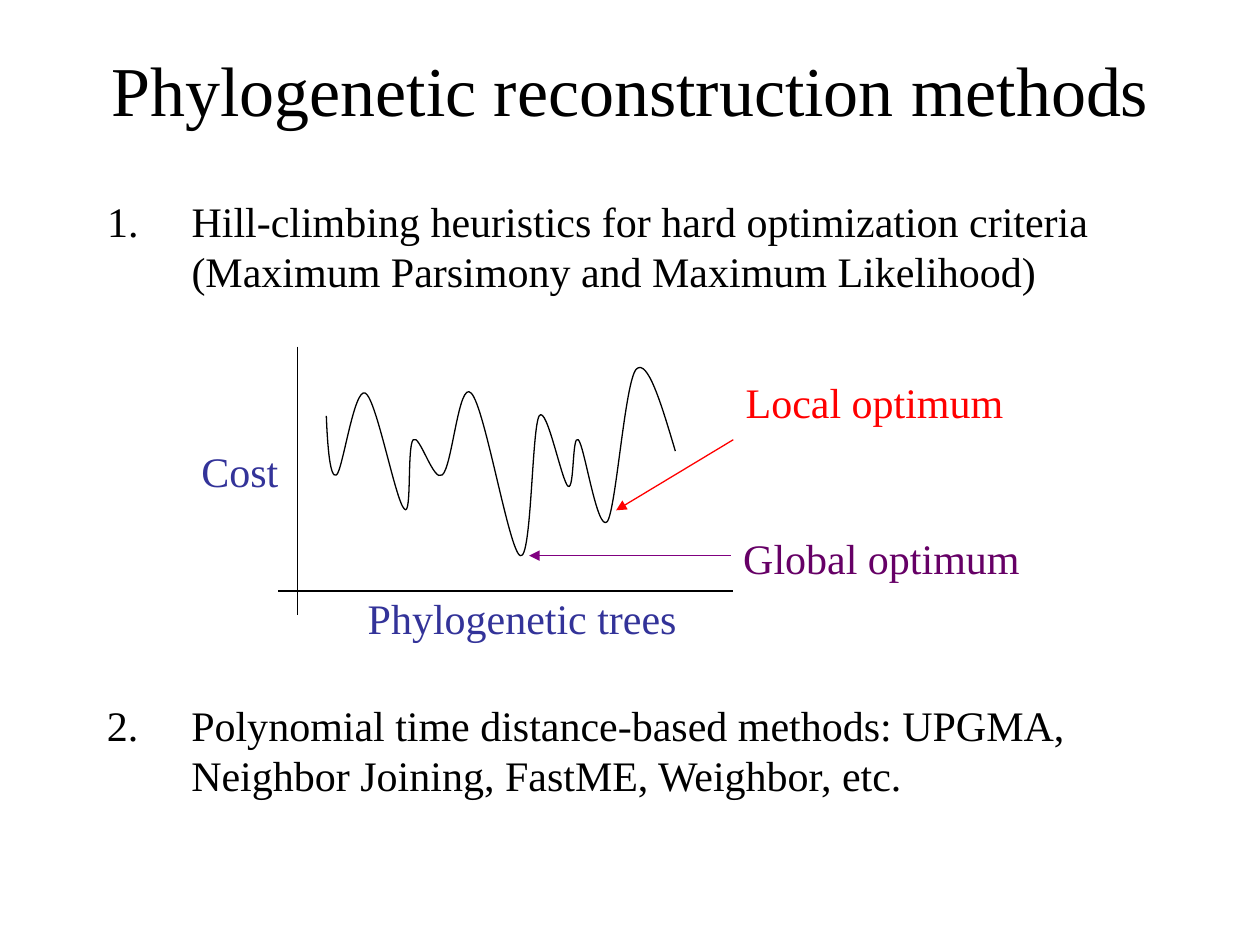
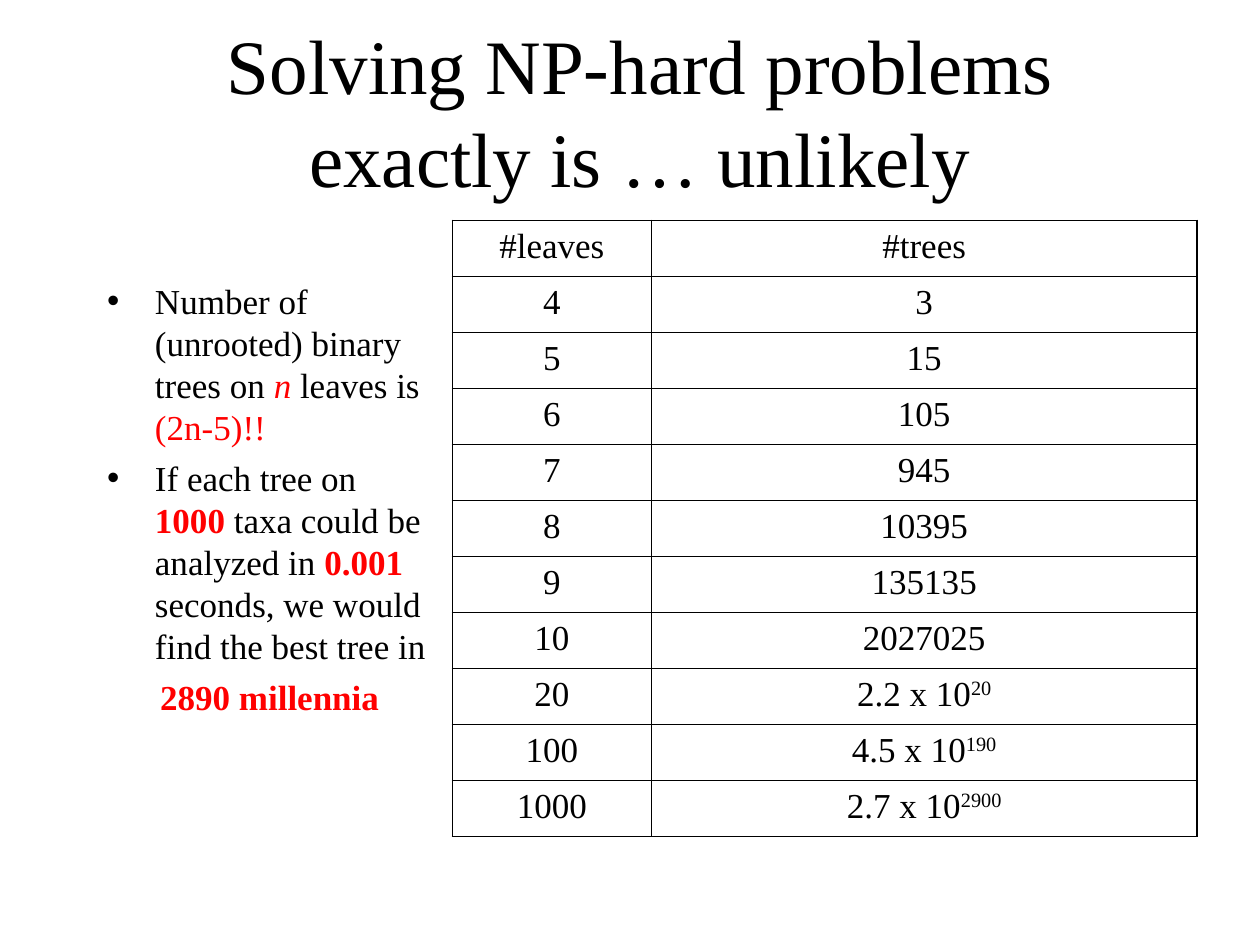
from lxml import etree
from pptx import Presentation
from pptx.dml.color import RGBColor
from pptx.enum.shapes import MSO_CONNECTOR
from pptx.enum.text import MSO_ANCHOR, MSO_AUTO_SIZE, PP_ALIGN
from pptx.oxml.ns import qn
from pptx.util import Inches, Pt

FONT = "Times New Roman"
COLORS = {
    "black": "000000",
    "axis label": "333399",
    "global": "660066",
    "global arrow": "800080",
    "red": "FF0000",
}


def format_paragraph(paragraph, size, color="black", indent=0, hanging=0, bullet=None, number=None):
    """Set indents, then a bullet or list number, then the font."""
    properties = paragraph._p.get_or_add_pPr()
    properties.set("marL", str(Inches(indent)))
    properties.set("indent", str(-Inches(hanging)))
    if number:
        etree.SubElement(properties, qn("a:buFont"), typeface=FONT)
        etree.SubElement(properties, qn("a:buAutoNum"), type="arabicPeriod", startAt=str(number))
    elif bullet:
        etree.SubElement(properties, qn("a:buChar"), char=bullet)
    else:
        etree.SubElement(properties, qn("a:buNone"))
    paragraph.space_before = Pt(0)
    paragraph.font.name = FONT
    paragraph.font.size = Pt(size)
    paragraph.font.color.rgb = RGBColor.from_string(COLORS[color])


def draw_line(shapes, start, end, color="black", arrow=False):
    line = shapes.add_connector(MSO_CONNECTOR.STRAIGHT, *map(Inches, start + end))
    line.line.color.rgb = RGBColor.from_string(COLORS[color])
    line.line.width = Pt(0.75)
    if arrow:
        etree.SubElement(line.line._get_or_add_ln(), qn("a:tailEnd"), type="triangle")
    etree.SubElement(line._element.spPr, qn("a:effectLst"))


deck = Presentation()
deck.slide_width, deck.slide_height = Inches(10), Inches(7.5)

# Titles and body frames
pages = []
for title_text, title_size, title_at, body_at in [
    ("Phylogenetic reconstruction methods", 40, (0.75, 0.08, 8.5, 1.25), (0.75, 1.5, 8.5, 2)),
    ("Solving NP-hard problems exactly is … unlikely", 44, (0.83, 0.25, 8.5, 1.25),
     (0.75, 2.17, 2.76, 4.5)),
]:
    page = deck.slides.add_slide(deck.slide_layouts[1])
    for holder, place in zip(page.placeholders, (title_at, body_at)):
        holder.left, holder.top, holder.width, holder.height = map(Inches, place)
        holder.text_frame.auto_size = MSO_AUTO_SIZE.NONE
        holder.text_frame.word_wrap = True
    title = page.shapes.title.text_frame
    title.text = title_text
    title.vertical_anchor = MSO_ANCHOR.MIDDLE
    title.paragraphs[0].alignment = PP_ALIGN.CENTER
    format_paragraph(title.paragraphs[0], title_size)
    pages.append(page)
methods_page, counts_page = pages

# Slide 1: numbered methods
second_method = methods_page.shapes.add_textbox(Inches(0.75), Inches(5.5), Inches(8.5), Inches(0.75))
second_method.text_frame.word_wrap = True
methods = [
    (methods_page.placeholders[1], "Hill-climbing heuristics for hard optimization criteria "
     "(Maximum Parsimony and Maximum Likelihood)"),
    (second_method, "Polynomial time distance-based methods: UPGMA, "
     "Neighbor Joining, FastME, Weighbor, etc."),
]
for number, (box, text) in enumerate(methods, start=1):
    box.text_frame.text = text
    format_paragraph(box.text_frame.paragraphs[0], 24, indent=0.67, hanging=0.67, number=number)

# Slide 1: cost landscape
landscape = methods_page.shapes.add_group_shape().shapes
draw_line(landscape, (2.36, 2.75), (2.36, 4.88))
draw_line(landscape, (2.21, 4.69), (5.82, 4.69))

# Each step holds two control points and the end point of a cubic curve
curve_start = (2.59, 3.3)
curve_steps = [
    ((2.6, 3.55), (2.62, 3.8), (2.67, 3.77)),
    ((2.72, 3.74), (2.81, 3.07), (2.9, 3.12)),
    ((2.99, 3.17), (3.14, 3.98), (3.21, 4.04)),
    ((3.27, 4.11), (3.23, 3.54), (3.28, 3.49)),
    ((3.33, 3.44), (3.44, 3.83), (3.51, 3.77)),
    ((3.59, 3.71), (3.64, 3.01), (3.74, 3.12)),
    ((3.85, 3.23), (4.04, 4.38), (4.13, 4.41)),
    ((4.22, 4.45), (4.22, 3.4), (4.28, 3.3)),
    ((4.34, 3.21), (4.46, 3.83), (4.51, 3.86)),
    ((4.56, 3.89), (4.54, 3.44), (4.59, 3.49)),
    ((4.64, 3.54), (4.74, 4.23), (4.82, 4.14)),
    ((4.89, 4.04), (4.96, 3.03), (5.05, 2.93)),
    ((5.14, 2.84), (5.25, 3.21), (5.36, 3.58)),
]
builder = landscape.build_freeform(*map(Inches, curve_start))
builder.add_line_segments(
    [tuple(map(Inches, point)) for step in curve_steps for point in step], close=False)
cost_curve = builder.convert_to_shape()

# Gather every three straight segments into one cubic segment
segments = list(cost_curve._element.iter(qn("a:lnTo")))
outline = segments[0].getparent()
for first in range(0, len(segments), 3):
    cubic = etree.SubElement(outline, qn("a:cubicBezTo"))
    for segment in segments[first:first + 3]:
        cubic.append(segment[0])
        outline.remove(segment)
cost_curve.shadow.inherit = False
cost_curve.fill.background()
cost_curve.line.color.rgb = RGBColor.from_string(COLORS["black"])
cost_curve.line.width = Pt(0.75)

for text, color, left, top, width in [
    ("Phylogenetic trees", "axis label", 2.82, 4.65, 2.78),
    ("Cost", "axis label", 1.5, 3.49, 0.85),
    ("Global optimum", "global", 5.8, 4.18, 2.45),
    ("Local optimum", "red", 5.82, 2.94, 2.3),
]:
    label = landscape.add_textbox(Inches(left), Inches(top), Inches(width), Inches(0.5))
    label.text_frame.word_wrap = True
    label.text_frame.text = text
    format_paragraph(label.text_frame.paragraphs[0], 24, color)

draw_line(landscape, (5.8, 4.41), (4.2, 4.41), "global arrow", arrow=True)
draw_line(landscape, (5.82, 3.49), (4.89, 4.05), "red", arrow=True)

# Slide 2: bullets, each span with its emphasis
bullets = [
    [("Number of (unrooted) binary trees on ", ""), ("n", "red italic"), (" leaves is ", ""),
     ("(2n-5)!!", "red")],
    [("If each tree on ", ""), ("1000", "red bold"), (" taxa could be analyzed in ", ""),
     ("0.001", "red bold"), (" seconds, we would find the best tree in", "")],
    [("2890 millennia", "red bold")],
]
body = counts_page.placeholders[1].text_frame
for index, spans in enumerate(bullets):
    paragraph = body.add_paragraph() if index else body.paragraphs[0]
    for text, emphasis in spans:
        span = paragraph.add_run()
        span.text = text
        if "red" in emphasis:
            span.font.color.rgb = RGBColor.from_string(COLORS["red"])
        if "bold" in emphasis:
            span.font.bold = True
        if "italic" in emphasis:
            span.font.italic = True
    if len(spans) > 1:
        format_paragraph(paragraph, 20, indent=0.38, hanging=0.38, bullet="•")
    else:
        format_paragraph(paragraph, 20, indent=0.42)
    if index:
        paragraph.space_before = Pt(5)

# Slide 2: tree counts, with an exponent where there is one
tree_counts = [
    ("#leaves", "#trees", ""),
    ("4", "3", ""),
    ("5", "15", ""),
    ("6", "105", ""),
    ("7", "945", ""),
    ("8", "10395", ""),
    ("9", "135135", ""),
    ("10", "2027025", ""),
    ("20", "2.2 x 10", "20"),
    ("100", "4.5 x 10", "190"),
    ("1000", "2.7 x 10", "2900"),
]
last_row = len(tree_counts) - 1
table = counts_page.shapes.add_table(
    len(tree_counts), 2, Inches(3.59), Inches(1.75), Inches(5.91), Inches(4.89)).table
table.first_row = table.horz_banding = False
table.columns[0].width, table.columns[1].width = Inches(1.58), Inches(4.33)
for row, (leaves, trees, exponent) in enumerate(tree_counts):
    for column, text in enumerate((leaves, trees)):
        cell = table.cell(row, column)
        paragraph = cell.text_frame.paragraphs[0]
        paragraph.add_run().text = text
        if column == 1 and exponent:
            power = paragraph.add_run()
            power.text = exponent
            power._r.get_or_add_rPr().set("baseline", "30000")
        paragraph.alignment = PP_ALIGN.CENTER
        format_paragraph(paragraph, 20)
        outer_sides = {"L": column == 0, "R": column == 1, "T": row == 0, "B": row == last_row}
        cell_properties = cell._tc.get_or_add_tcPr()
        for side, is_outer in outer_sides.items():
            border = etree.SubElement(cell_properties, qn(f"a:ln{side}"),
                                      w=str(Pt(1.08 if is_outer else 0.45)))
            border_fill = etree.SubElement(border, qn("a:solidFill"))
            etree.SubElement(border_fill, qn("a:srgbClr"), val=COLORS["black"])
        cell.fill.background()

deck.save("out.pptx")
